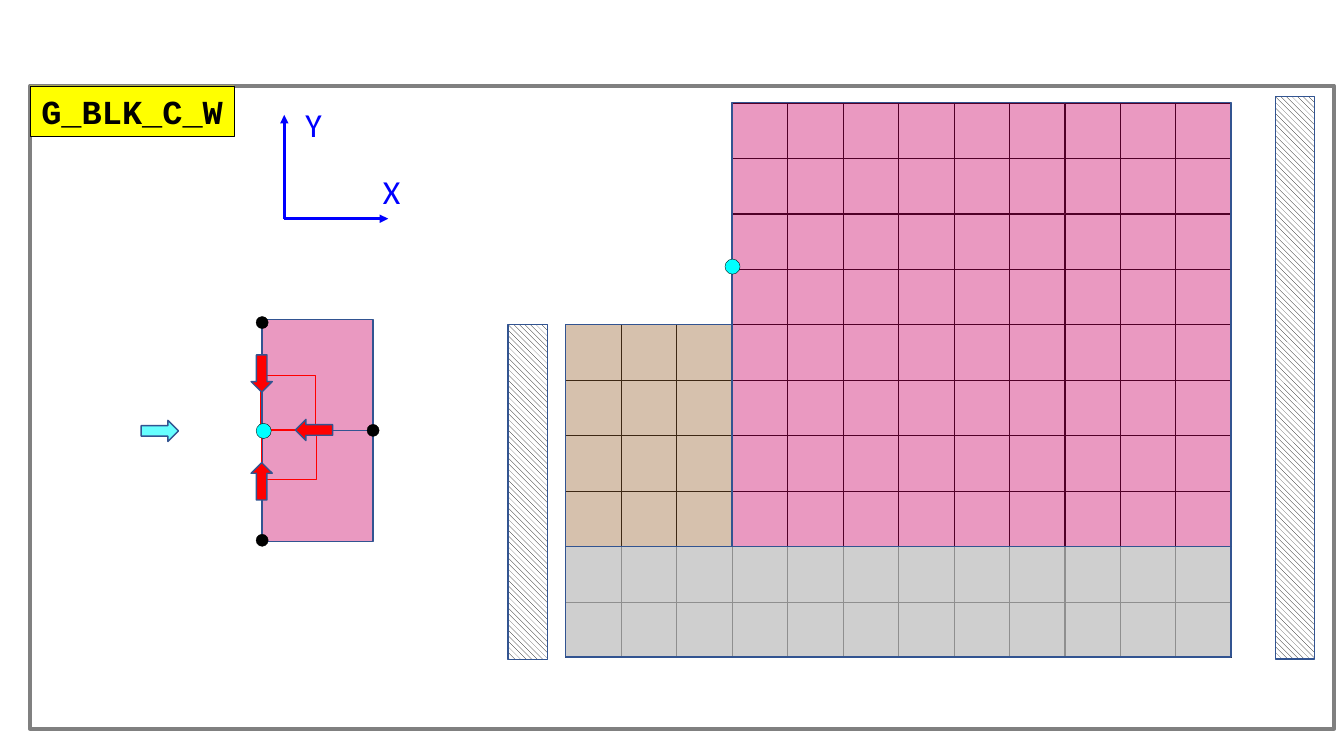
"""Build the G_BLK_C_W slide: a meshed block model with its load and support symbols."""
from lxml.etree import SubElement
from pptx import Presentation
from pptx.dml.color import RGBColor
from pptx.enum.dml import MSO_PATTERN
from pptx.enum.shapes import MSO_CONNECTOR, MSO_SHAPE
from pptx.enum.text import MSO_ANCHOR, MSO_AUTO_SIZE, PP_ALIGN
from pptx.oxml.ns import qn
from pptx.util import Inches, Pt

CELL = 0.55
LEFT, TOP = 5.61, 1.02
EDGE = "325491"


def rgb(code):
    return RGBColor.from_string(code)


def draw(kind, x, y, w, h, fill=None, line="000000", width=0.25, opacity=100):
    sp = s.shapes.add_shape(kind, Inches(x), Inches(y), Inches(w), Inches(h))
    sp.shadow.inherit = False
    sp.line.color.rgb = rgb(line)
    sp.line.width = Pt(width)
    if fill is None:
        sp.fill.background()
    else:
        sp.fill.solid()
        sp.fill.fore_color.rgb = rgb(fill)
    if opacity < 100:
        color = sp.element.spPr.find(qn("a:solidFill"))[0]
        SubElement(color, qn("a:alpha")).set("val", str(opacity * 1000))
    return sp


prs = Presentation()
prs.slide_width, prs.slide_height = Inches(13.33), Inches(7.5)
s = prs.slides.add_slide(prs.slide_layouts[5])

# column, row, columns, rows, fill, opacity
blocks = [
    (0, 8, 12, 2, "BFBFBF", 75),
    (0, 4, 3, 4, "996633", 40),
    (3, 0, 9, 8, "CC0066", 40),
]
for col, row, cols, rows, fill, opacity in blocks:
    for i in range(cols):
        for j in range(rows):
            draw(MSO_SHAPE.RECTANGLE, LEFT + (col + i) * CELL, TOP + (row + j) * CELL, CELL, CELL)
for col, row, cols, rows, fill, opacity in blocks:
    draw(MSO_SHAPE.RECTANGLE, LEFT + col * CELL, TOP + row * CELL, cols * CELL, rows * CELL,
         fill, EDGE, 1, opacity)

for x, y, h in [(5.04, 3.22, 3.32), (12.65, 0.96, 5.58)]:
    wall = draw(MSO_SHAPE.RECTANGLE, x, y, 0.39, h, line=EDGE, width=1)
    wall.fill.patterned()
    wall.fill.pattern = MSO_PATTERN.WIDE_DOWNWARD_DIAGONAL
    wall.fill.fore_color.rgb = rgb("000000")
    wall.fill.back_color.rgb = rgb("FFFFFF")

axes = s.shapes.add_group_shape()
for name, end_x, end_y, text_x, text_y in [("X", 3.85, 2.17, 3.7, 1.65), ("Y", 2.82, 1.14, 2.93, 0.98)]:
    axis = axes.shapes.add_connector(MSO_CONNECTOR.STRAIGHT, Inches(2.82), Inches(2.17),
                                     Inches(end_x), Inches(end_y))
    axis.line.color.rgb = rgb("0000FF")
    axis.line.width = Pt(2)
    SubElement(axis.line._get_or_add_ln(), qn("a:tailEnd")).set("type", "triangle")
    SubElement(axis.element.spPr, qn("a:effectLst"))
    label = axes.shapes.add_textbox(Inches(text_x), Inches(text_y), Inches(0.38), Inches(0.5))
    tf = label.text_frame
    tf.word_wrap = False
    tf.auto_size = MSO_AUTO_SIZE.SHAPE_TO_FIT_TEXT
    r = tf.paragraphs[0].add_run()
    r.text = name
    r.font.name, r.font.size = "Calibri", Pt(24)
    r.font.color.rgb = rgb("0000FF")

for half in range(2):
    draw(MSO_SHAPE.RECTANGLE, 2.6, 3.17 + half * 2 * CELL, 2 * CELL, 2 * CELL, "CC0066", EDGE, 1, 40)
for x, y in [(2.54, 3.14), (3.64, 4.21), (2.54, 5.3)]:
    draw(MSO_SHAPE.OVAL, x, y, 0.12, 0.12, "000000")
for x, y, h in [(2.59, 4.26, 0.49), (2.58, 3.72, CELL)]:
    draw(MSO_SHAPE.RECTANGLE, x, y, CELL, h, line="FF0000")
draw(MSO_SHAPE.RECTANGLE, 0.3, 0.85, 12.93, 6.38, line="808080", width=3)

for x, y, angle, fill in [(2.49, 4.59, 0, "FF0000"), (3.01, 4.08, 270, "FF0000"),
                          (2.49, 3.52, 180, "FF0000"), (1.48, 4.09, 90, "66FFFF")]:
    arrow = draw(MSO_SHAPE.UP_ARROW, x, y, 0.21, 0.37, fill, EDGE, 1)
    arrow.rotation = angle
for x, y in [(7.19, 2.57), (2.54, 4.2)]:
    draw(MSO_SHAPE.OVAL, x, y, 0.15, 0.15, "00FFFF")

title = s.shapes.title
s.shapes.element.append(title.element)
title.left, title.top, title.width, title.height = Inches(0.3), Inches(0.85), Inches(2.02), Inches(0.5)
title.fill.solid()
title.fill.fore_color.rgb = rgb("FFFF00")
title.line.color.rgb = rgb("000000")
title.line.width = Pt(0.25)
tf = title.text_frame
tf.word_wrap = False
tf.auto_size = MSO_AUTO_SIZE.NONE
tf.vertical_anchor = MSO_ANCHOR.MIDDLE
p = tf.paragraphs[0]
p.alignment = PP_ALIGN.CENTER
r = p.add_run()
r.text = "G_BLK_C_W"
r.font.name, r.font.size, r.font.bold = "Courier New", Pt(24), True
r.font.color.rgb = rgb("000000")

prs.save("out.pptx")
